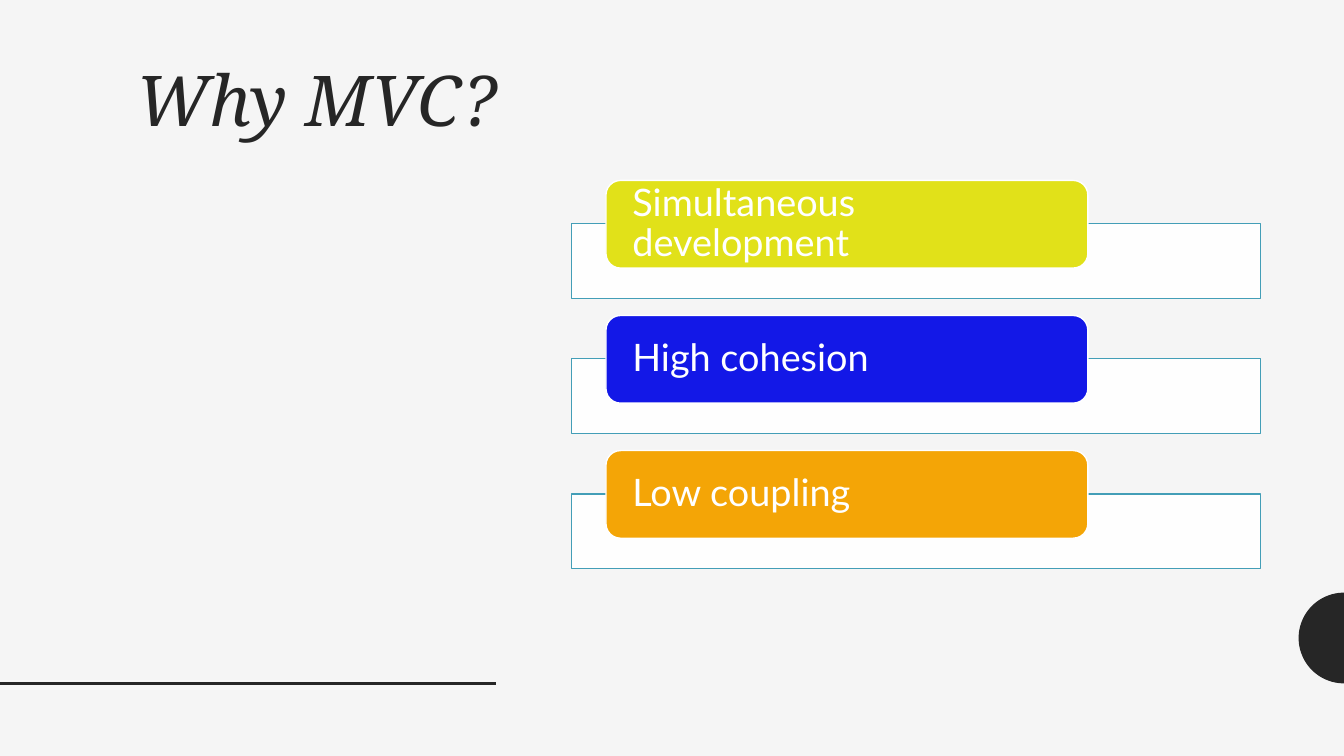
from math import cos, pi, sin

from lxml import etree
from pptx import Presentation
from pptx.dml.color import RGBColor
from pptx.enum.shapes import MSO_CONNECTOR, MSO_SHAPE
from pptx.enum.text import MSO_ANCHOR, PP_ALIGN
from pptx.oxml.ns import qn
from pptx.util import Inches, Pt

LINE = MSO_CONNECTOR.STRAIGHT
RECT, ROUND = MSO_SHAPE.RECTANGLE, MSO_SHAPE.ROUNDED_RECTANGLE
MIDDLE, TOP = MSO_ANCHOR.MIDDLE, MSO_ANCHOR.TOP
LEFT, RIGHT = PP_ALIGN.LEFT, PP_ALIGN.RIGHT

# Content
TITLE = "Why MVC?"
REASONS = [
    ("Simultaneous development", "E1E119"),
    ("High cohesion", "1318E7"),
    ("Low coupling", "F4A506"),
]
DARK, WHITE, TEAL, PAPER = "262626", "FFFFFF", "439EB7", "F5F5F5"
STEP = 1.34


def rgb(code):
    return RGBColor.from_string(code)


def paint(shape, fill, edge=None):
    shape.shadow.inherit = False
    shape.fill.solid()
    shape.fill.fore_color.rgb = rgb(fill)
    if edge:
        shape.line.color.rgb = rgb(edge)
        shape.line.width = Pt(1)
    else:
        shape.line.fill.background()


def write(shape, text, font, size, color, align, anchor, pad):
    frame = shape.text_frame
    frame.word_wrap = True
    frame.vertical_anchor = anchor
    frame.margin_left = frame.margin_right = Inches(pad[0])
    frame.margin_top = frame.margin_bottom = Inches(pad[1])
    para = frame.paragraphs[0]
    para.text = text
    para.alignment = align
    para.line_spacing = 0.9
    para.font.name = font
    para.font.size = Pt(size)
    para.font.color.rgb = rgb(color)
    return para


prs = Presentation()
prs.slide_width, prs.slide_height = Inches(13.33), Inches(7.5)
slide = prs.slides.add_slide(prs.slide_layouts[6])
slide.background.fill.solid()
slide.background.fill.fore_color.rgb = rgb(PAPER)
shapes = slide.shapes

# Half disc on the right edge
edge, mid, radius, parts = 13.33, 6.33, 0.45, 48
arc = [(Inches(edge - radius * sin(pi * i / parts)),
        Inches(mid - radius * cos(pi * i / parts))) for i in range(parts + 1)]
pen = shapes.build_freeform(*arc[0])
pen.add_line_segments(arc[1:], close=True)
paint(pen.convert_to_shape(), DARK)

# Rule at the lower left
rule = shapes.add_connector(LINE, 0, Inches(6.78), Inches(4.92), Inches(6.78))
rule.line.color.rgb = rgb(DARK)
rule.line.width = Pt(2)
etree.SubElement(rule._element.spPr, qn("a:effectLst"))

# Title
title = shapes.add_textbox(Inches(0.83), Inches(0.61), Inches(4.19), Inches(5.42))
para = write(title, TITLE, "Noto Serif", 50, DARK, RIGHT, TOP, (0.1, 0.05))
para.font.italic = True

# Reasons: a pale bar with a coloured label over its top edge
for i, (text, color) in enumerate(REASONS):
    drop = i * STEP
    bar = shapes.add_shape(RECT, Inches(5.67), Inches(2.22 + drop),
                           Inches(6.83), Inches(0.74))
    paint(bar, WHITE, TEAL)
    tint = bar._element.spPr.find(qn("a:solidFill"))[0]
    etree.SubElement(tint, qn("a:alpha"), val="90000")

    label = shapes.add_shape(ROUND, Inches(6.01), Inches(1.79 + drop),
                             Inches(4.78), Inches(0.87))
    paint(label, color, WHITE)
    write(label, text, "Lato", 27, WHITE, LEFT, MIDDLE, (0.18 + 0.04, 0))

prs.save("out.pptx")
